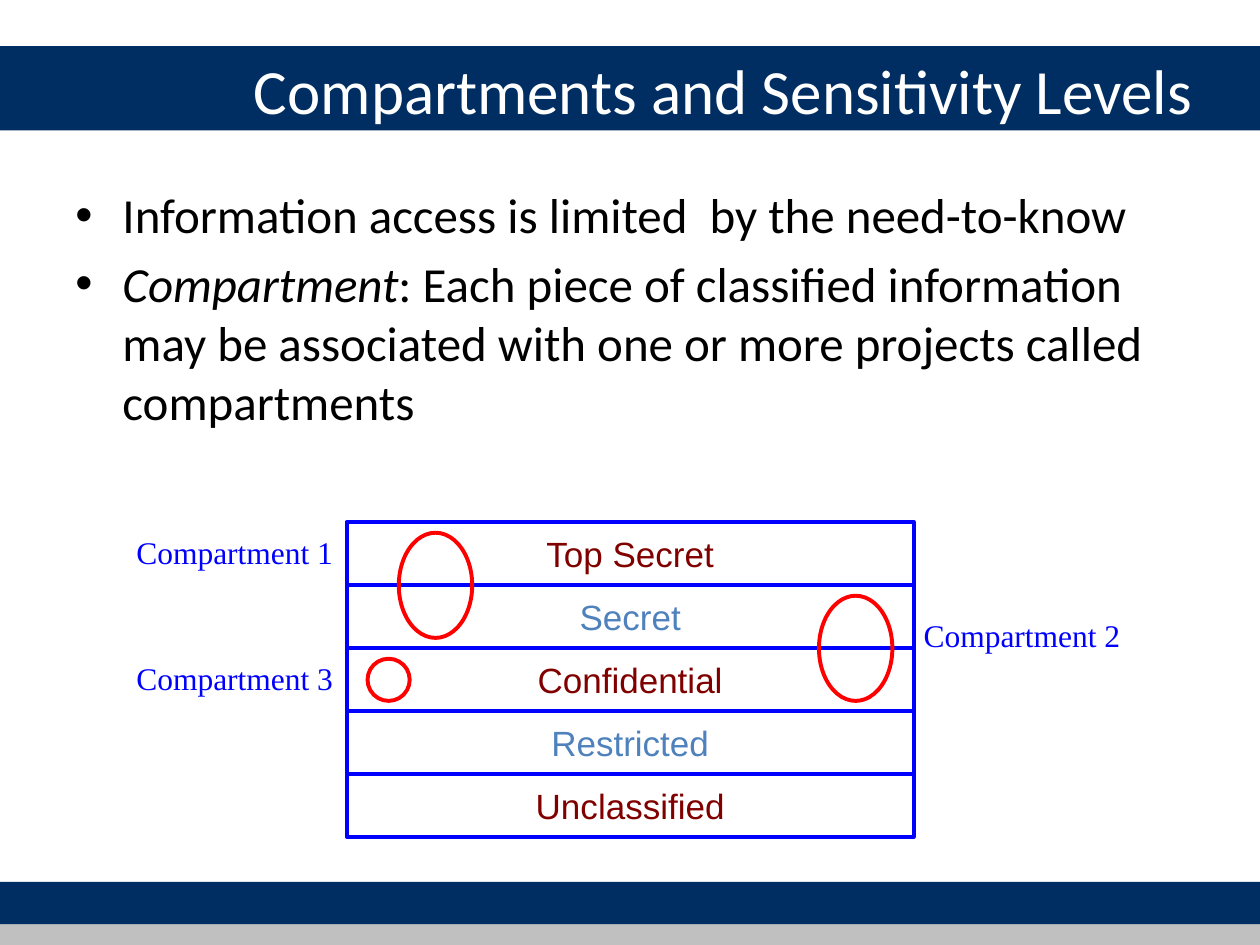
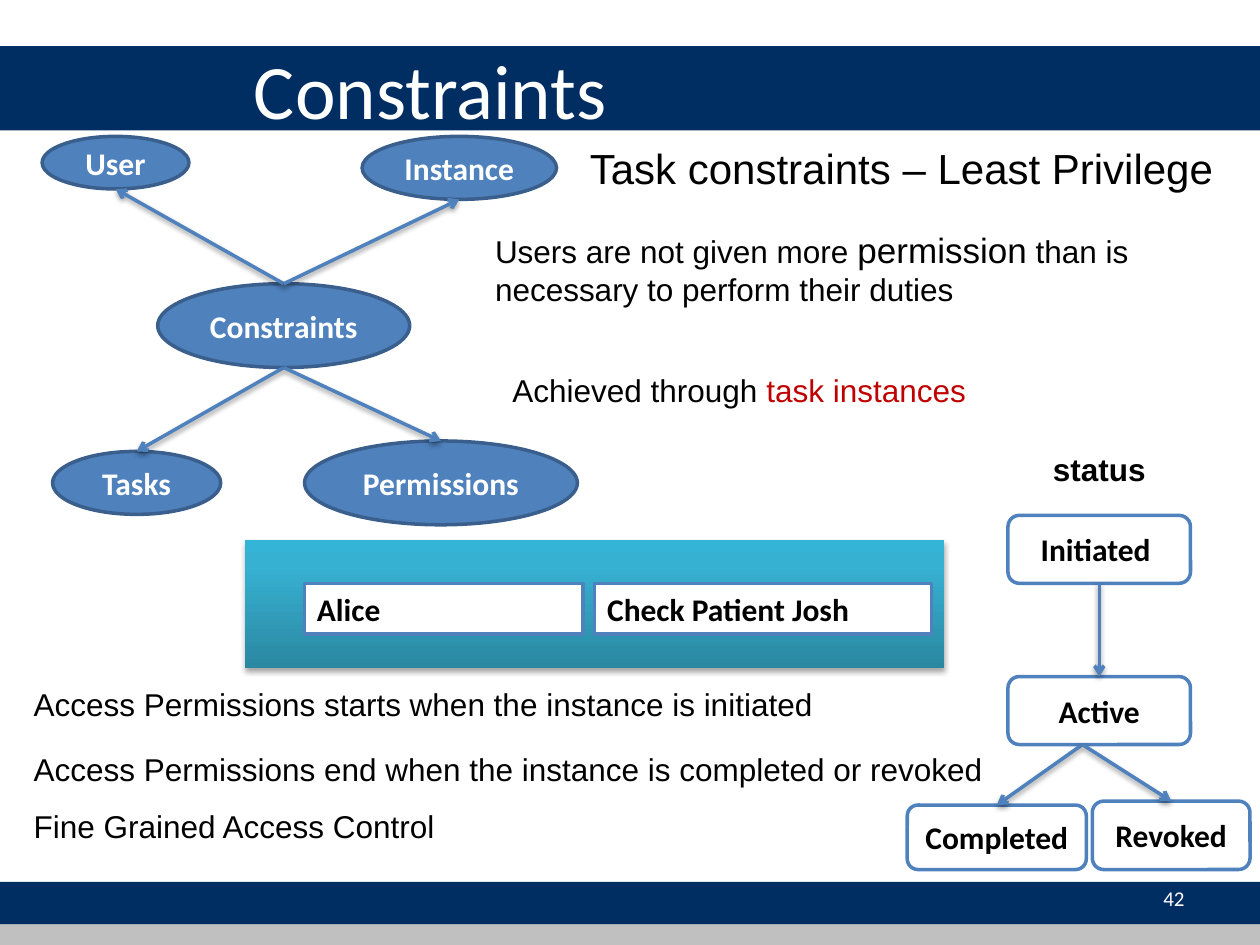
import copy
import pptx
import pptx.dml.color
import pptx.enum.shapes
import pptx.enum.text
import pptx.oxml
import pptx.oxml.ns
import pptx.util

Cm, Pt = pptx.util.Cm, pptx.util.Pt
KIND = pptx.enum.shapes.MSO_SHAPE
ALIGN = pptx.enum.text.PP_ALIGN
ANCHOR = pptx.enum.text.MSO_ANCHOR
NS = pptx.oxml.ns.nsdecls("a")

HUES = {
    "navy": "002E62", "grey": "C0C0C0", "white": "FFFFFF", "black": "000000",
    "blue": "0000FF", "red": "FF0000", "maroon": "800000", "steel": "4F81BD",
    "edge": "3A5F8C", "crimson": "C00000",
    "deep": "2A88A2", "teal": "37B1D2", "light": "34B4D6",
}

# Shared content: boxes are left, top, width, height in cm
BANDS = [
    ((0, 17.78, 25.4, 0.85), "navy"),
    ((0, 0.93, 25.4, 1.7), "navy"),
    ((0, 18.63, 25.4, 0.42), "grey"),
]
TITLE = (4.87, 0.21, 20.11, 3.17)

# Slide 1 content; a text run is its words and what differs from the box
POINTS = [
    [("Information access is limited  by the need-to-know", {})],
    [("Compartment", {"italic": True}),
     (": Each piece of classified information may be associated with "
      "one or more projects called compartments", {})],
]
LEVELS = ["Top Secret", "Secret", "Confidential", "Restricted", "Unclassified"]
GROUPS = [  # label, its left and top, oval
    ("Compartment 1", (2.75, 10.74), (8.04, 10.74, 1.48, 2.12)),
    ("Compartment 2", (18.62, 12.42), (16.51, 12.01, 1.48, 2.12)),
    ("Compartment 3", (2.75, 13.28), (7.41, 13.28, 0.85, 0.85)),
]

# Slide 2 content
OVALS = {
    "Constraints": (3.18, 5.72, 5.08, 1.69),
    "User": (0.85, 2.75, 2.96, 1.06),
    "Instance": (7.3, 2.75, 3.92, 1.27),
    "Tasks": (1.06, 9.1, 3.39, 1.27),
    "Permissions": (6.14, 8.89, 5.5, 1.69),
}
STATES = {
    "Initiated ": (20.32, 10.39, 3.68, 1.37),
    "Active": (20.32, 13.64, 3.68, 1.37),
    "Completed": (18.29, 16.23, 3.61, 1.3),
    "Revoked": (22.02, 16.15, 3.18, 1.38),
}
FLOWS = [  # from, to, shift of the start
    ("Initiated ", "Active", 0),
    ("Active", "Completed", -0.34),
    ("Active", "Revoked", -0.34),
]
PANEL = (4.93, 10.88, 14.1, 2.58)
FIELDS = [
    ("Alice", (6.14, 11.76, 5.61, 1.02)),
    ("Check Patient Josh", (11.99, 11.76, 6.79, 1.02)),
]
NOTES = [  # box, size, runs
    ((11.64, 2.75, 13.34, 1.27), 24, [("Task constraints – Least Privilege", {})]),
    ((9.73, 4.47, 15.67, 1.88), 18,
     [("Users are not given more ", {}), ("permission", {"size": 20}),
      (" than is necessary to perform their duties", {})]),
    ((10.08, 7.34, 15.3, 1.02), 18,
     [("Achieved through ", {}), ("task instances", {"hue": "crimson"})]),
    ((0.43, 13.67, 18.36, 1.02), 18,
     [("Access Permissions starts when the instance is initiated", {})]),
    ((0.43, 14.99, 19.66, 1.02), 18,
     [("Access Permissions end when the instance is completed or revoked", {})]),
    ((0.43, 16.13, 9.04, 1.02), 18, [("Fine Grained Access Control", {})]),
]


def rgb(hue):
    return pptx.dml.color.RGBColor.from_string(HUES[hue])


def put(para, runs, size, face, hue, bold=False):
    """Add runs to a paragraph in the given style."""
    for words, diff in runs:
        run = para.add_run()
        run.text = words
        font = run.font
        font.name, font.bold = face, bold
        font.size = Pt(diff.get("size", size))
        font.color.rgb = rgb(diff.get("hue", hue))
        font.italic = diff.get("italic", False)


def setup(frame, wrap=True, pad=True, anchor=ANCHOR.TOP):
    frame.word_wrap = wrap
    frame.auto_size = pptx.enum.text.MSO_AUTO_SIZE.NONE
    frame.vertical_anchor = anchor
    side, edge = (Cm(0.25), Cm(0.13)) if pad else (0, 0)
    frame.margin_left = frame.margin_right = side
    frame.margin_top = frame.margin_bottom = edge


def draw(slide, kind, box, fill=None, line=None, width=2):
    shape = slide.shapes.add_shape(kind, *map(Cm, box))
    shape.shadow.inherit = False
    if fill:
        shape.fill.solid()
        shape.fill.fore_color.rgb = rgb(fill)
    else:
        shape.fill.background()
    if line:
        shape.line.color.rgb = rgb(line)
        shape.line.width = Pt(width)
    else:
        shape.line.fill.background()
    return shape


def label(shape, words, size, face, hue, bold=False):
    """Centre one line of text in a shape."""
    frame = shape.text_frame
    setup(frame, wrap=False, pad=False, anchor=ANCHOR.MIDDLE)
    frame.paragraphs[0].alignment = ALIGN.CENTER
    put(frame.paragraphs[0], [(words, {})], size, face, hue, bold)


def write(slide, box, runs, size, face, hue, bold=False, align=ALIGN.LEFT, **opts):
    frame = slide.shapes.add_textbox(*map(Cm, box)).text_frame
    setup(frame, **opts)
    frame.paragraphs[0].alignment = align
    put(frame.paragraphs[0], runs, size, face, hue, bold)
    return frame


def shade(shape, alpha, dist):
    """Give a shape or line a soft shadow below it."""
    props = shape.element.spPr
    for old in props.findall(pptx.oxml.ns.qn("a:effectLst")):
        props.remove(old)
    props.append(pptx.oxml.parse_xml(
        f'<a:effectLst {NS}><a:outerShdw blurRad="{Pt(3.1)}" dist="{Pt(dist)}" '
        f'dir="5400000" rotWithShape="0"><a:srgbClr val="{HUES["black"]}">'
        f'<a:alpha val="{alpha * 1000}"/></a:srgbClr></a:outerShdw></a:effectLst>'))


def arrow(slide, start, end):
    line = slide.shapes.add_connector(
        pptx.enum.shapes.MSO_CONNECTOR.STRAIGHT, *map(Cm, start + end))
    line.line.color.rgb = rgb("steel")
    line.line.width = Pt(2)
    line.line._get_or_add_ln().append(
        pptx.oxml.parse_xml(f'<a:tailEnd {NS} type="arrow"/>'))
    shade(line, 38, 1.6)


def top(box):
    return box[0] + box[2] / 2, box[1]


def base(box, shift=0):
    return box[0] + box[2] / 2 + shift, box[1] + box[3]


def start(deck, words, size):
    """Add a slide with its title."""
    slide = deck.slides.add_slide(deck.slide_layouts[5])
    title = slide.shapes.title
    title.left, title.top, title.width, title.height = map(Cm, TITLE)
    setup(title.text_frame, anchor=ANCHOR.MIDDLE)
    para = title.text_frame.paragraphs[0]
    para.alignment = ALIGN.LEFT
    put(para, [(words, {})], size, "Calibri", "white")
    return slide


def frame_up(deck, slide):
    """Move the bands into the layout, behind everything."""
    tree = deck.slide_layouts[5].shapes.element
    for box, hue in BANDS:
        tree.insert(2, draw(slide, KIND.RECTANGLE, box, hue).element)


def levels(deck):
    slide = start(deck, "Compartments and Sensitivity Levels", 36)
    frame_up(deck, slide)

    # Stack of levels
    for row, name in enumerate(LEVELS):
        box = (6.99, 10.52 + row * 1.27, 11.43, 1.27)
        cell = draw(slide, KIND.RECTANGLE, box, None, "blue", 2.25)
        label(cell, name, 20, "Arial", "steel" if row % 2 else "maroon")

    # Compartments
    for name, spot, oval in GROUPS:
        draw(slide, KIND.OVAL, oval, None, "red", 2.25)
        write(slide, spot + (3.96, 0.76), [(name, {})], 18,
              "Times New Roman", "blue", wrap=False, pad=False)

    # Bullets
    frame = slide.shapes.add_textbox(*map(Cm, (1.27, 3.6, 22.86, 6.53))).text_frame
    setup(frame)
    for num, runs in enumerate(POINTS):
        para = frame.add_paragraph() if num else frame.paragraphs[0]
        props = para._p.get_or_add_pPr()
        props.set("marL", str(Cm(0.95)))
        props.set("indent", str(-Cm(0.95)))
        props.append(pptx.oxml.parse_xml(f'<a:buFont {NS} typeface="Arial"/>'))
        props.append(pptx.oxml.parse_xml(f'<a:buChar {NS} char="•"/>'))
        if num:
            para.space_before = Pt(5.6)
        put(para, runs, 28, "Calibri", "black")


def limits(deck):
    slide = start(deck, "Constraints", 44)
    write(slide, (18.21, 17.6, 5.92, 1.02), [("42", {})], 12, "Calibri", "white",
          align=ALIGN.RIGHT, anchor=ANCHOR.MIDDLE)

    # Constraint map
    for name, box in OVALS.items():
        node = draw(slide, KIND.OVAL, box, "steel", "edge")
        label(node, name, 18, "Calibri", "white", True)
    hub = OVALS["Constraints"]
    for name in ("User", "Instance"):
        arrow(slide, top(hub), base(OVALS[name]))
    for name in ("Tasks", "Permissions"):
        arrow(slide, base(hub), top(OVALS[name]))

    # Notes
    for box, size, runs in NOTES:
        write(slide, box, runs, size, "Arial", "black")

    # Task instance panel
    panel = draw(slide, KIND.RECTANGLE, PANEL)
    panel.fill.gradient()
    panel.fill.gradient_angle = 90
    stops = panel.element.spPr.find(".//" + pptx.oxml.ns.qn("a:gsLst"))
    stops.append(copy.deepcopy(stops[-1]))
    ramp = [(0, "deep"), (0.8, "teal"), (1, "light")]
    for stop, (place, hue) in zip(panel.fill.gradient_stops, ramp):
        stop.position = place
        stop.color.rgb = rgb(hue)
    shade(panel, 35, 1.8)
    for words, box in FIELDS:
        field = draw(slide, KIND.RECTANGLE, box, "white", "steel")
        setup(field.text_frame)
        para = field.text_frame.paragraphs[0]
        para.alignment = ALIGN.LEFT
        put(para, [(words, {})], 18, "Calibri", "black", True)

    # Status flow
    for name, box in STATES.items():
        node = draw(slide, KIND.ROUNDED_RECTANGLE, box, "white", "steel")
        label(node, name, 18, "Calibri", "black", True)
    for old, new, shift in FLOWS:
        arrow(slide, base(STATES[old], shift), top(STATES[new]))
    write(slide, (20.52, 8.94, 3.28, 1.02), [("status", {})], 18, "Arial",
          "black", True, ALIGN.CENTER)


def main():
    deck = pptx.Presentation()
    deck.slide_width, deck.slide_height = Cm(25.4), Cm(19.05)
    levels(deck)
    limits(deck)
    deck.save("out.pptx")


if __name__ == "__main__":
    main()
